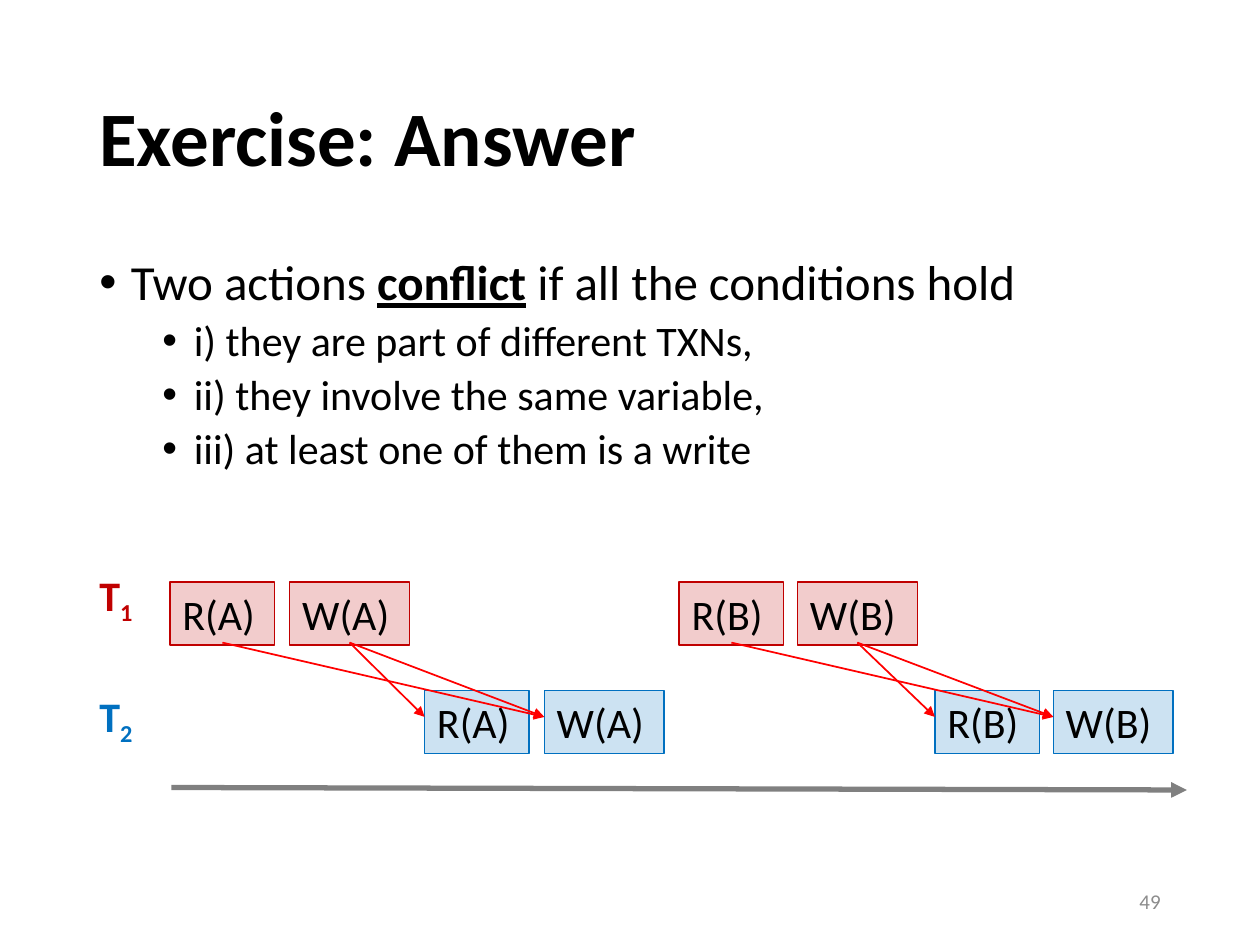
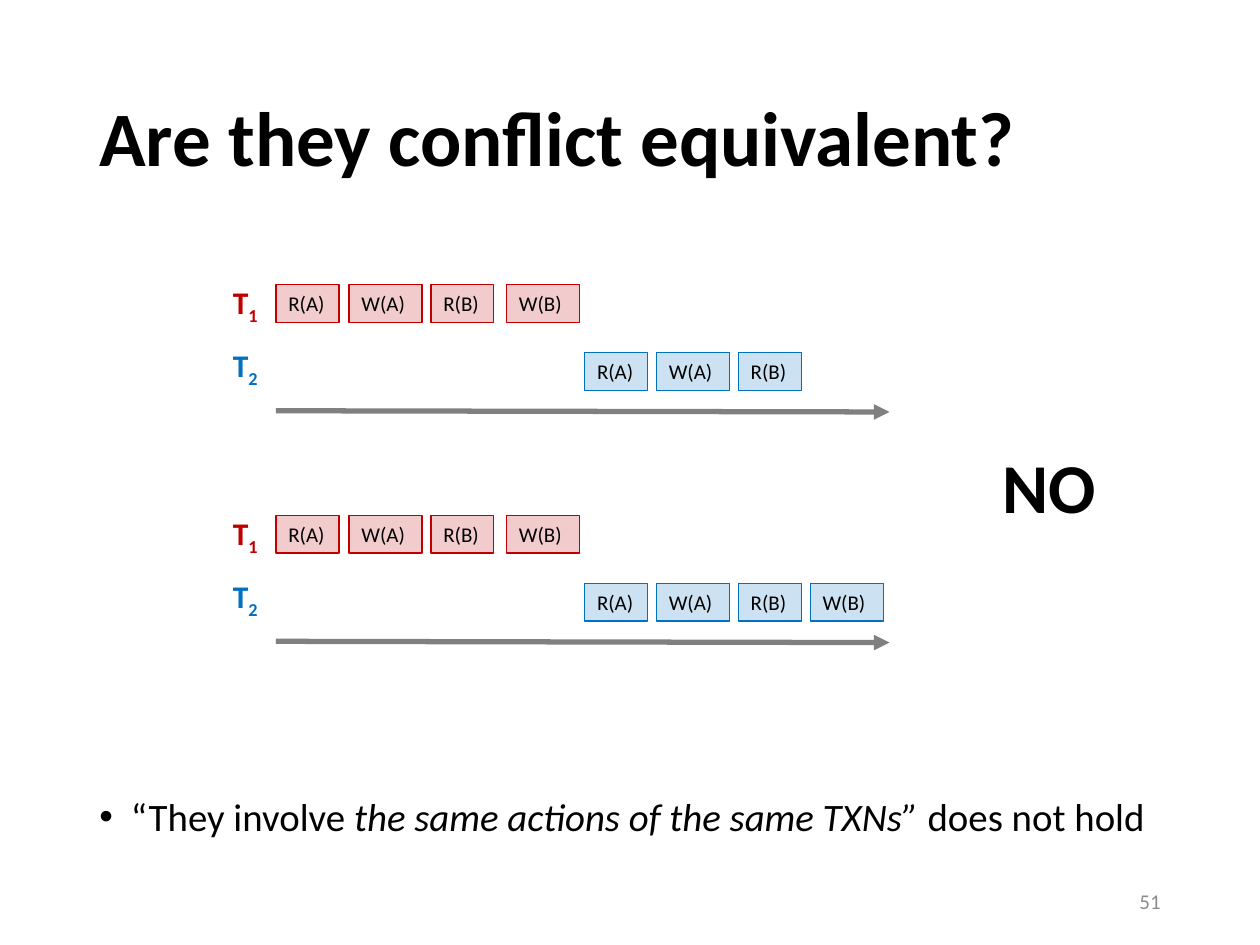
from lxml import etree
from pptx import Presentation
from pptx import util as u
from pptx.dml.color import RGBColor
from pptx.enum import shapes, text
from pptx.oxml.ns import qn

THEME = {
    "font": "Calibri",
    "ink": "000000", "page": "8C8C8C", "axis": "808080", "clash": "FF0000",
    "lanes": ["C00000", "0070C0"],
    "title": 44, "lead": 28, "sub": 24, "note": 22.2, "answer": 40, "foot": 12,
}
TOP, MID = text.MSO_ANCHOR.TOP, text.MSO_ANCHOR.MIDDLE


def put(page, box, paras, size, color=THEME["ink"], tint=None, wrap=True, anchor=TOP):
    """Add text, in a tinted outlined box if tint is given.

    paras holds (runs, format) pairs; runs holds (words, font format) pairs.
    """
    area = [u.Inches(v) for v in box]
    if tint:
        shape = page.shapes.add_shape(shapes.MSO_SHAPE.RECTANGLE, *area)
        shape.shadow.inherit = False
        shape.fill.solid()
        shape.fill.fore_color.rgb = RGBColor.from_string(tint)
        fill = shape.fill._xPr.find(qn("a:solidFill"))[0]
        etree.SubElement(fill, qn("a:alpha"), val="20000")
        shape.line.color.rgb = RGBColor.from_string(tint)
        shape.line.width = u.Pt(0.75)
    else:
        shape = page.shapes.add_textbox(*area)
    frame = shape.text_frame
    frame.word_wrap = wrap
    frame.vertical_anchor = anchor
    for i, (runs, form) in enumerate(paras):
        para = frame.add_paragraph() if i else frame.paragraphs[0]
        form = {"alignment": text.PP_ALIGN.LEFT, **form}
        scale = form.pop("size", size)
        indent = form.pop("indent", None)
        if indent:
            props = para._p.get_or_add_pPr()
            props.set("marL", str(u.Inches(indent)))
            props.set("indent", str(u.Inches(-0.25)))
            etree.SubElement(props, qn("a:buFont"), typeface="Arial")
            etree.SubElement(props, qn("a:buChar"), char="•")
        for key, val in form.items():
            setattr(para, key, val)
        for words, style in runs:
            run = para.add_run()
            run.text = words
            style = {"name": THEME["font"], "size": u.Pt(scale), **style}
            base = style.pop("base", None)
            for key, val in style.items():
                setattr(run.font, key, val)
            run.font.color.rgb = RGBColor.from_string(color)
            if base:
                run._r.get_or_add_rPr().set("baseline", base)


def arrow(page, ends, color, width):
    line = page.shapes.add_connector(
        shapes.MSO_CONNECTOR.STRAIGHT, *[u.Inches(v) for v in ends])
    line.line.color.rgb = RGBColor.from_string(color)
    line.line.width = u.Pt(width)
    etree.SubElement(line.line._get_or_add_ln(), qn("a:tailEnd"), type="triangle")
    etree.SubElement(line._element.spPr, qn("a:effectLst"))


BOLD = {"bold": True}
LEAD = {"indent": 0.25, "line_spacing": 0.9}
SUB = {"indent": 0.75, "line_spacing": 0.9, "space_before": u.Pt(5), "size": THEME["sub"]}
rules = [
    ([("Two actions ", {}), ("conflict", {"bold": True, "underline": True}),
      (" if all the conditions hold", {})], LEAD),
    ([("i) they are part of different TXNs,", {})], SUB),
    ([("ii) they involve the same variable,", {})], SUB),
    ([("iii) at least one of them is a write", {})], SUB),
]
reason = [([("“They involve ", {}),
            ("the same actions of the same TXNs” ", {"italic": True}),
            ("does not hold", {})], LEAD)]

# Lane tops and label tops are measured from the top of each schedule.
BIG = {"tops": [0, 0.86], "tags": [-0.15, 0.81], "tag": [0.69, 0.48, 0.5],
       "tagsize": 24, "size": 24, "high": 0.5, "wide": {"R": 0.83, "W": 0.95},
       "axis": [1.36, 1.63, 9.42, 1.65]}
SMALL = {"tops": [0, 0.54], "tags": [-0.06, 0.44], "tag": [1.75, 0.41, 0.4],
         "tagsize": 18, "size": 12, "high": 0.3, "wide": {"R": 0.5, "W": 0.58},
         "axis": [2.19, 1, 7.06, 1.01]}
ACTS = ["R(A)", "W(A)", "R(B)", "W(B)"]
first = [2.19, 2.77, 3.42, 4.02]
later = [4.64, 5.21, 5.86, 6.43]
spread = [[1.35, 2.3, 5.39, 6.33], [3.37, 4.32, 7.42, 8.36]]

pages = [
    {"title": "Exercise: Answer", "no": "49", "body": rules,
     "box": [0.69, 2, 8.62, 4.76], "size": THEME["lead"],
     "plans": [(BIG, 4.62, spread)]},
    {"title": "Are they conflict equivalent?", "no": "51", "body": reason,
     "box": [0.69, 6.28, 9.14, 0.48], "size": THEME["note"],
     "plans": [(SMALL, 2.26, [first, later[:3]]), (SMALL, 4.09, [first, later])]},
]

deck = Presentation()
deck.slide_width, deck.slide_height = u.Inches(10), u.Inches(7.5)
made = []
for data in pages:
    page = deck.slides.add_slide(deck.slide_layouts[6])
    made.append(page)
    put(page, [0.69, 0.4, 8.62, 1.45], [([(data["title"], BOLD)], {"line_spacing": 0.9})],
        THEME["title"], anchor=MID)
    put(page, data["box"], data["body"], data["size"])
    put(page, [7.06, 6.95, 2.25, 0.4],
        [([(data["no"], {})], {"alignment": text.PP_ALIGN.RIGHT})],
        THEME["foot"], THEME["page"], anchor=MID)

    for kind, top, lanes in data["plans"]:
        x1, y1, x2, y2 = kind["axis"]
        arrow(page, [x1, top + y1, x2, top + y2], THEME["axis"], 3)
        left, wide, high = kind["tag"]
        for i, lefts in enumerate(lanes):
            color = THEME["lanes"][i]
            tag = [("T", BOLD), (str(i + 1), {"bold": True, "base": "-25000"})]
            put(page, [left, top + kind["tags"][i], wide, high], [(tag, {})],
                kind["tagsize"], color, wrap=False)
            for act, x in zip(ACTS, lefts):
                put(page, [x, top + kind["tops"][i], kind["wide"][act[0]], kind["high"]],
                    [([(act, {})], {})], kind["size"], tint=color)

# Conflicts run from the lower edge of T1 actions to the left edge of T2 actions.
for i in (0, 2):
    read, write = [spread[0][i + j] + BIG["wide"]["RW"[j]] / 2 for j in (0, 1)]
    for start, end in ((write, i), (read, i + 1), (write, i + 1)):
        arrow(made[0], [start, 5.1, spread[1][end], 5.69], THEME["clash"], 1)

put(made[1], [7.86, 3.47, 0.95, 0.77], [([("NO", BOLD)], {})], THEME["answer"], wrap=False)
deck.save("out.pptx")
